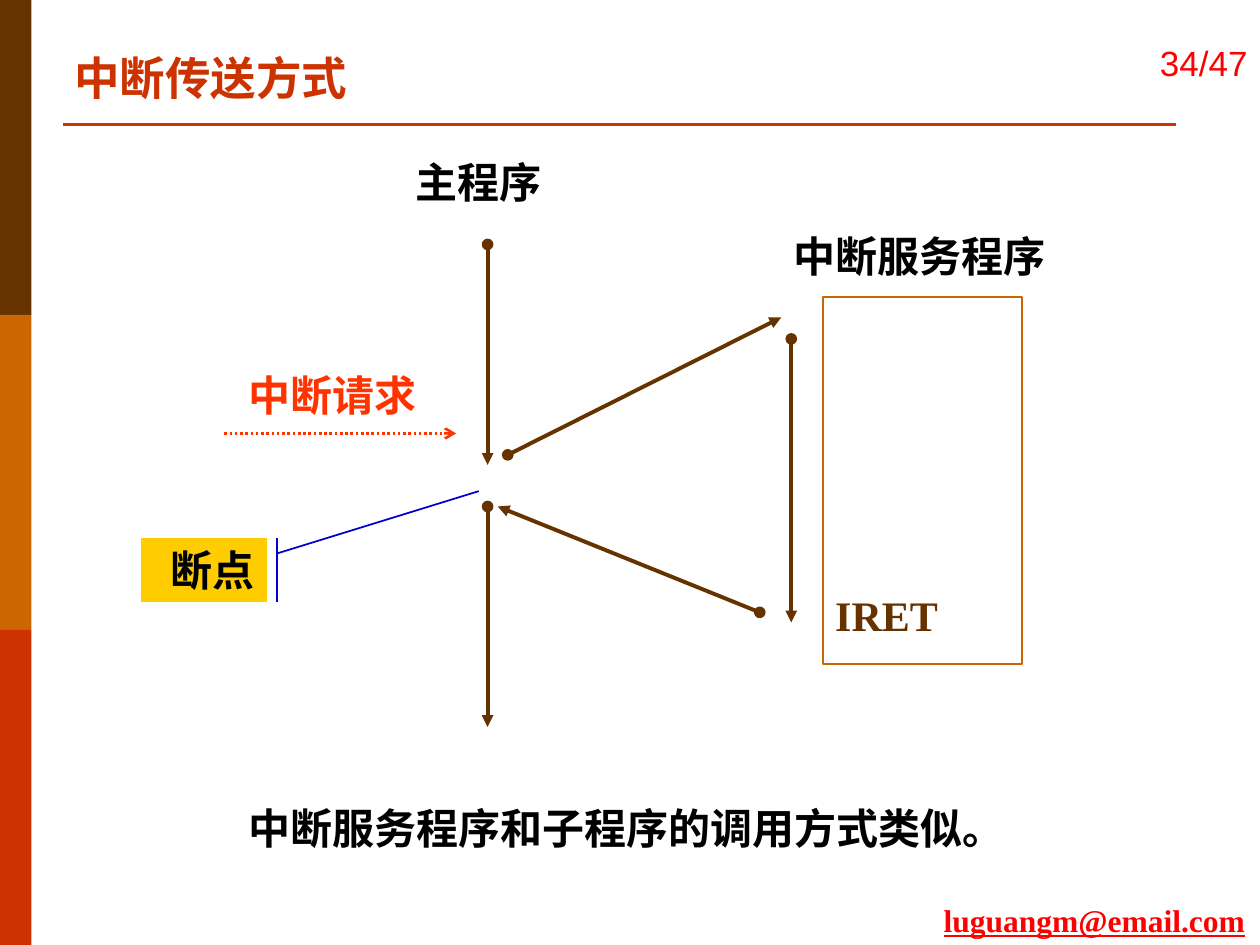
from lxml import etree
from pptx import Presentation
from pptx.dml.color import RGBColor
from pptx.enum.dml import MSO_LINE
from pptx.enum.shapes import MSO_CONNECTOR, MSO_SHAPE
from pptx.enum.text import MSO_ANCHOR, PP_ALIGN
from pptx.oxml.ns import qn
from pptx.util import Inches, Pt

STRAIGHT = MSO_CONNECTOR.STRAIGHT
RECTANGLE = MSO_SHAPE.RECTANGLE
CALLOUT = MSO_SHAPE.LINE_CALLOUT_1_ACCENT_BAR
DOTTED = MSO_LINE.ROUND_DOT
TOP, MIDDLE, BOTTOM = MSO_ANCHOR.TOP, MSO_ANCHOR.MIDDLE, MSO_ANCHOR.BOTTOM
LEFT, RIGHT = PP_ALIGN.LEFT, PP_ALIGN.RIGHT

COLORS = {name: RGBColor.from_string(value) for name, value in {
    "brown": "663300", "orange": "CC6600", "rust": "CC3300",
    "request": "FF3300", "red": "FF0000", "yellow": "FFCC00",
    "blue": "0000CC", "black": "000000",
}.items()}
SERIF = "Times New Roman"


def write(shape, text, color, size=24, font=SERIF, bold=True,
          align=LEFT, anchor=TOP, wrap=True):
    frame = shape.text_frame
    frame.word_wrap = wrap
    frame.vertical_anchor = anchor
    frame.text = text
    paragraph = frame.paragraphs[0]
    paragraph.alignment = align
    paragraph.font.name = font
    paragraph.font.size = Pt(size)
    paragraph.font.bold = bold
    paragraph.font.color.rgb = COLORS[color]
    return paragraph


def draw_line(x1, y1, x2, y2, color, width, head=None, tail=None):
    line = slide.shapes.add_connector(
        STRAIGHT, Inches(x1), Inches(y1), Inches(x2), Inches(y2))
    line.line.color.rgb = COLORS[color]
    line.line.width = Pt(width)
    outline = line.line._get_or_add_ln()
    for tag, kind in (("a:headEnd", head), ("a:tailEnd", tail)):
        if kind:
            etree.SubElement(outline, qn(tag), type=kind)
    etree.SubElement(line._element.spPr, qn("a:effectLst"))
    return line


prs = Presentation()
prs.slide_width, prs.slide_height = Inches(10), Inches(7.5)
slide = prs.slides.add_slide(prs.slide_layouts[5])

# Side bands and title rule
for row, color in enumerate(("brown", "orange", "rust")):
    band = slide.shapes.add_shape(
        RECTANGLE, 0, Inches(2.5 * row), Inches(0.25), Inches(2.5))
    band.shadow.inherit = False
    band.fill.solid()
    band.fill.fore_color.rgb = COLORS[color]
    band.line.fill.background()
draw_line(0.5, 0.99, 9.33, 0.99, "rust", 1.5)

# Title
title = slide.shapes.title
title.left, title.top = Inches(0.49), Inches(0.35)
title.width, title.height = Inches(6.99), Inches(0.54)
write(title, "中断传送方式", "rust", size=26)

# Page number and e-mail address
page = slide.shapes.add_textbox(
    Inches(8.78), Inches(0.01), Inches(1.22), Inches(0.98))
write(page, "34/47", "red", size=20, font="Arial", bold=False,
      align=RIGHT, anchor=MIDDLE)
email = slide.shapes.add_textbox(
    Inches(7.39), Inches(7.1), Inches(2.61), Inches(0.4))
write(email, "luguangm@email.com", "red", size=18,
      wrap=False).font.underline = True

# Service routine box
routine = slide.shapes.add_shape(
    RECTANGLE, Inches(6.53), Inches(2.36), Inches(1.58), Inches(2.91))
routine.shadow.inherit = False
routine.fill.background()
routine.line.color.rgb = COLORS["orange"]
routine.line.width = Pt(1)
routine.text_frame.margin_bottom = Inches(0.19)
write(routine, "IRET", "brown", anchor=BOTTOM)

# Program flow: main program, jump, service routine, return
for x1, y1, x2, y2 in (
    (3.87, 1.94, 3.87, 3.69),
    (3.87, 4.02, 3.87, 5.77),
    (6.28, 2.69, 6.28, 4.94),
    (4.03, 3.61, 6.2, 2.52),
    (6.03, 4.86, 3.95, 4.02),
):
    draw_line(x1, y1, x2, y2, "brown", 2.25, head="oval", tail="triangle")

# Interrupt request
request = draw_line(1.78, 3.44, 3.62, 3.44, "request", 1.5, tail="arrow")
request.line.dash_style = DOTTED

# Breakpoint callout
breakpoint_note = slide.shapes.add_shape(
    CALLOUT, Inches(1.12), Inches(4.27), Inches(1), Inches(0.51))
breakpoint_note.shadow.inherit = False
for index, value in enumerate((0.24, 1.08, -0.73, 2.68)):
    breakpoint_note.adjustments[index] = value
breakpoint_note.fill.solid()
breakpoint_note.fill.fore_color.rgb = COLORS["yellow"]
breakpoint_note.line.color.rgb = COLORS["blue"]
breakpoint_note.line.width = Pt(1)
write(breakpoint_note, "断点", "black", align=RIGHT)

# Labels and conclusion
for text, left, top, width, color, wrap in (
    ("主程序", 3.2, 1.19, 1.42, "black", True),
    ("中断服务程序", 6.2, 1.78, 2.5, "black", True),
    ("中断请求", 1.87, 2.88, 1.75, "request", True),
    ("中断服务程序和子程序的调用方式类似。", 1.87, 6.32, 6.29, "black", False),
):
    label = slide.shapes.add_textbox(
        Inches(left), Inches(top), Inches(width), Inches(0.5))
    write(label, text, color, wrap=wrap)

prs.save("out.pptx")
